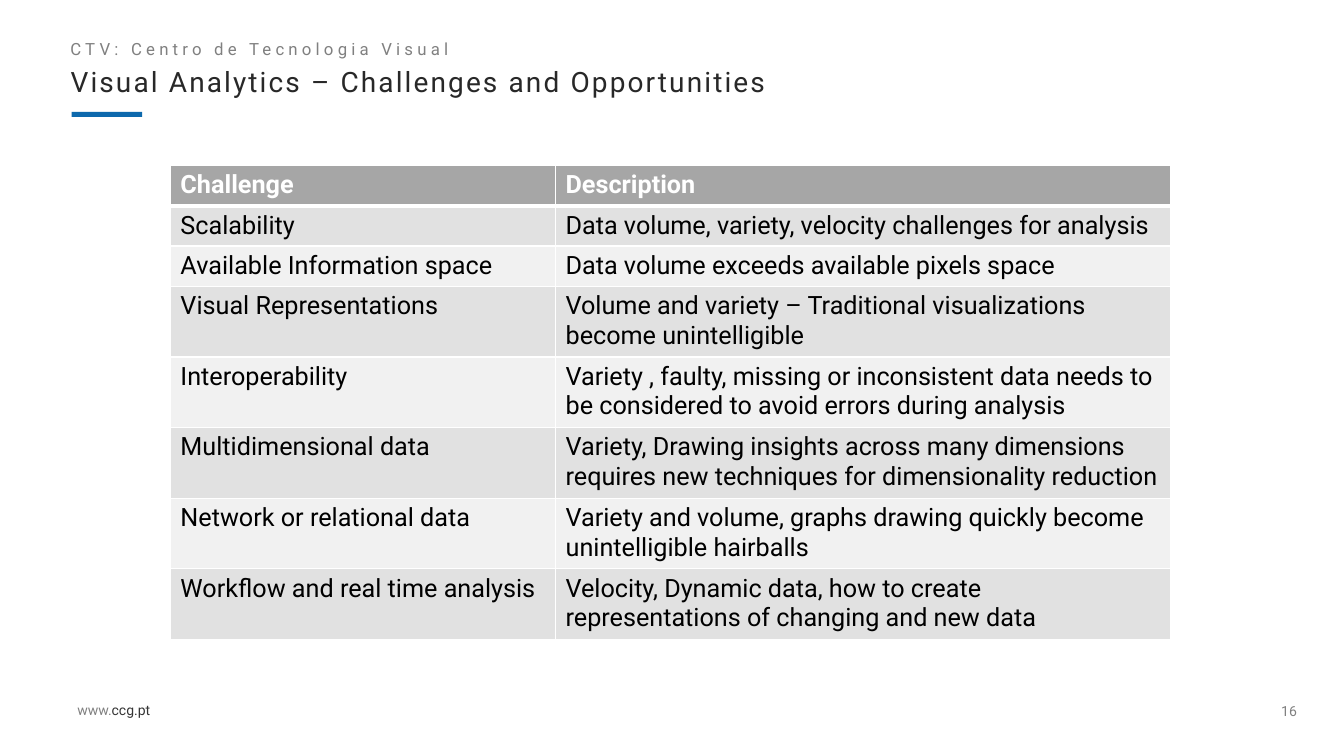
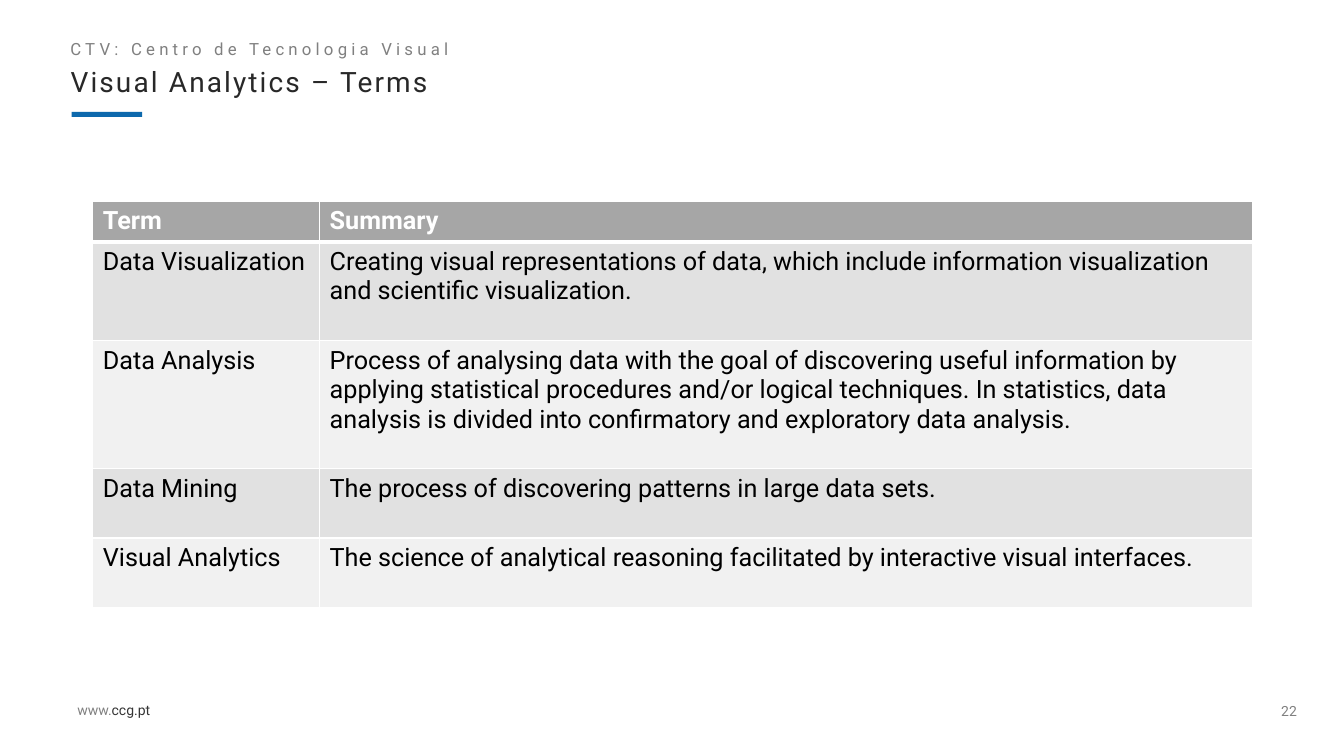
from dataclasses import dataclass

import pptx
import pptx.dml.color
import pptx.enum.shapes
import pptx.enum.text
import pptx.oxml
import pptx.oxml.ns
import pptx.util
from lxml import etree

RGBColor = pptx.dml.color.RGBColor
Anchor = pptx.enum.text.MSO_ANCHOR
Align = pptx.enum.text.PP_ALIGN

WHITE = RGBColor(0xFF, 0xFF, 0xFF)
BLACK = RGBColor(0x00, 0x00, 0x00)
BLUE = RGBColor(0x0D, 0x69, 0xAD)
GREY = RGBColor(0x80, 0x80, 0x80)
CHARCOAL = RGBColor(0x28, 0x28, 0x28)
FOOTER_DARK = RGBColor(0x35, 0x35, 0x35)
HEADER_FILL = RGBColor(0xA6, 0xA6, 0xA6)
BAND_FILLS = (RGBColor(0xE1, 0xE1, 0xE1), RGBColor(0xF1, 0xF1, 0xF1))

FONT = "Roboto"
ORGANISATION = "CTV: Centro de Tecnologia Visual"
CELL_LINE = 21.1 / 72
CELL_PADDING = 0.1


@dataclass
class Box:
    """An area in inches."""
    left: float
    top: float
    width: float
    height: float

    def inside(self, left, top, width, height):
        return Box(self.left + left, self.top + top, width, height)

    def lengths(self):
        return [pptx.util.Inches(value)
                for value in (self.left, self.top, self.width, self.height)]


SLIDE = Box(0, 0, 13.33, 7.5)
HEADING = Box(0.7, 0.34, 9.55, 0.82)
FOOTER = Box(0.67, 6.84, 12.35, 0.43)


def add_run(paragraph, text, size, color, bold=False, spacing=0):
    run = paragraph.add_run()
    run.text = text
    run.font.name = FONT
    run.font.size = pptx.util.Pt(size)
    run.font.color.rgb = color
    run.font.bold = bold
    if spacing:
        run._r.get_or_add_rPr().set("spc", str(int(spacing * 100)))


def remove_margins(frame):
    frame.margin_left = frame.margin_right = 0
    frame.margin_top = frame.margin_bottom = 0


def add_text_frame(slide, box):
    frame = slide.shapes.add_textbox(*box.lengths()).text_frame
    frame.word_wrap = True
    return frame


def add_heading(slide, box, title):
    """Organisation line, title and accent bar, from top to bottom."""
    organisation = add_text_frame(slide, box.inside(-0.1, 0, 5.23, 0.3))
    add_run(organisation.paragraphs[0], ORGANISATION, 12, GREY, spacing=3)

    placeholder = slide.shapes.title
    (placeholder.left, placeholder.top,
     placeholder.width, placeholder.height) = box.inside(0, 0.34, box.width, 0.33).lengths()
    frame = placeholder.text_frame
    frame.auto_size = pptx.enum.text.MSO_AUTO_SIZE.NONE
    frame.word_wrap = True
    frame.vertical_anchor = Anchor.TOP
    remove_margins(frame)
    paragraph = frame.paragraphs[0]
    paragraph.alignment = Align.LEFT
    paragraph.line_spacing = 0.9
    add_run(paragraph, title, 20, CHARCOAL, spacing=1.5)

    bar = slide.shapes.add_shape(pptx.enum.shapes.MSO_SHAPE.RECTANGLE,
                                 *box.inside(0.01, 0.77, 0.7, 0.05).lengths())
    bar.shadow.inherit = False
    bar.fill.solid()
    bar.fill.fore_color.rgb = BLUE
    bar.line.fill.background()


def add_footer(slide, box, number):
    """Web address on the left, page number on the right."""
    address = add_text_frame(slide, box.inside(0, 0.07, 1.2, 0.27)).paragraphs[0]
    add_run(address, "www.", 10, GREY)
    add_run(address, "ccg.pt", 10, FOOTER_DARK)

    frame = add_text_frame(slide, box.inside(box.width - 0.47, 0, 0.47, box.height))
    remove_margins(frame)
    frame.vertical_anchor = Anchor.MIDDLE
    frame.paragraphs[0].alignment = Align.CENTER
    add_run(frame.paragraphs[0], str(number), 10, GREY)


def set_borders(cell, top, bottom):
    """White borders, 1 pt at the sides; call before the cell is filled."""
    properties = cell._tc.get_or_add_tcPr()
    for side, width in (("L", 1), ("R", 1), ("T", top), ("B", bottom)):
        line = etree.SubElement(properties, pptx.oxml.ns.qn(f"a:ln{side}"),
                                w=str(pptx.util.Pt(width)))
        fill = etree.SubElement(line, pptx.oxml.ns.qn("a:solidFill"))
        etree.SubElement(fill, pptx.oxml.ns.qn("a:srgbClr"), val=str(WHITE))


def add_banded_table(slide, left, top, column_widths, rows):
    """Each row is (number of text lines it is high, texts); the first is the header."""
    heights = [CELL_PADDING + lines * CELL_LINE for lines, _ in rows]
    box = Box(left, top, sum(column_widths), sum(heights))
    table = slide.shapes.add_table(len(rows), len(column_widths), *box.lengths()).table
    table.horz_banding = False
    for column, width in zip(table.columns, column_widths):
        column.width = pptx.util.Inches(width)
    for index, (row, height, (_, texts)) in enumerate(zip(table.rows, heights, rows)):
        header = index == 0
        row.height = pptx.util.Inches(height)
        for cell, text in zip(row.cells, texts):
            set_borders(cell, top=3 if index == 1 else 1, bottom=3 if header else 1)
            cell.fill.solid()
            cell.fill.fore_color.rgb = HEADER_FILL if header else BAND_FILLS[(index - 1) % 2]
            add_run(cell.text_frame.paragraphs[0], text, 18,
                    WHITE if header else BLACK, bold=header)


def add_table_slide(presentation, title, number, **table):
    title_only = presentation.slide_layouts.get_by_name("Title Only")
    slide = presentation.slides.add_slide(title_only)
    slide.background.fill.solid()
    slide.background.fill.fore_color.rgb = WHITE
    add_heading(slide, HEADING, title)
    add_footer(slide, FOOTER, number)
    add_banded_table(slide, **table)


CHALLENGES = [
    (1, ("Challenge", "Description")),
    (1, ("Scalability", "Data volume, variety, velocity challenges for analysis")),
    (1, ("Available Information space", "Data volume exceeds available pixels space")),
    (2, ("Visual Representations",
         "Volume and variety – Traditional visualizations become unintelligible")),
    (2, ("Interoperability",
         "Variety , faulty, missing or inconsistent data needs to be considered "
         "to avoid errors during analysis")),
    (2, ("Multidimensional data",
         "Variety, Drawing insights across many dimensions requires new techniques "
         "for dimensionality reduction")),
    (2, ("Network or relational data",
         "Variety and volume, graphs drawing quickly become unintelligible hairballs")),
    (2, ("Workflow and real time analysis",
         "Velocity, Dynamic data, how to create representations of changing and new data")),
]

TERMS = [
    (1, ("Term", "Summary")),
    (3, ("Data Visualization",
         "Creating visual representations of data, which include information "
         "visualization and scientific visualization.")),
    (4, ("Data Analysis",
         "Process of analysing data with the goal of discovering useful information by "
         "applying statistical procedures and/or logical techniques. In statistics, data "
         "analysis is divided into confirmatory and exploratory data analysis.")),
    (2, ("Data Mining", "The process of discovering patterns in large data sets.")),
    (2, ("Visual Analytics",
         "The science of analytical reasoning facilitated by interactive visual interfaces.")),
]


def main():
    presentation = pptx.Presentation()
    presentation.slide_width = pptx.util.Inches(SLIDE.width)
    presentation.slide_height = pptx.util.Inches(SLIDE.height)
    add_table_slide(presentation, "Visual Analytics – Challenges and Opportunities", 16,
                    left=1.69, top=1.64, column_widths=(3.82, 6.1), rows=CHALLENGES)
    add_table_slide(presentation, "Visual Analytics – Terms", 22,
                    left=0.92, top=2, column_widths=(2.25, 9.25), rows=TERMS)
    presentation.save("out.pptx")


if __name__ == "__main__":
    main()
